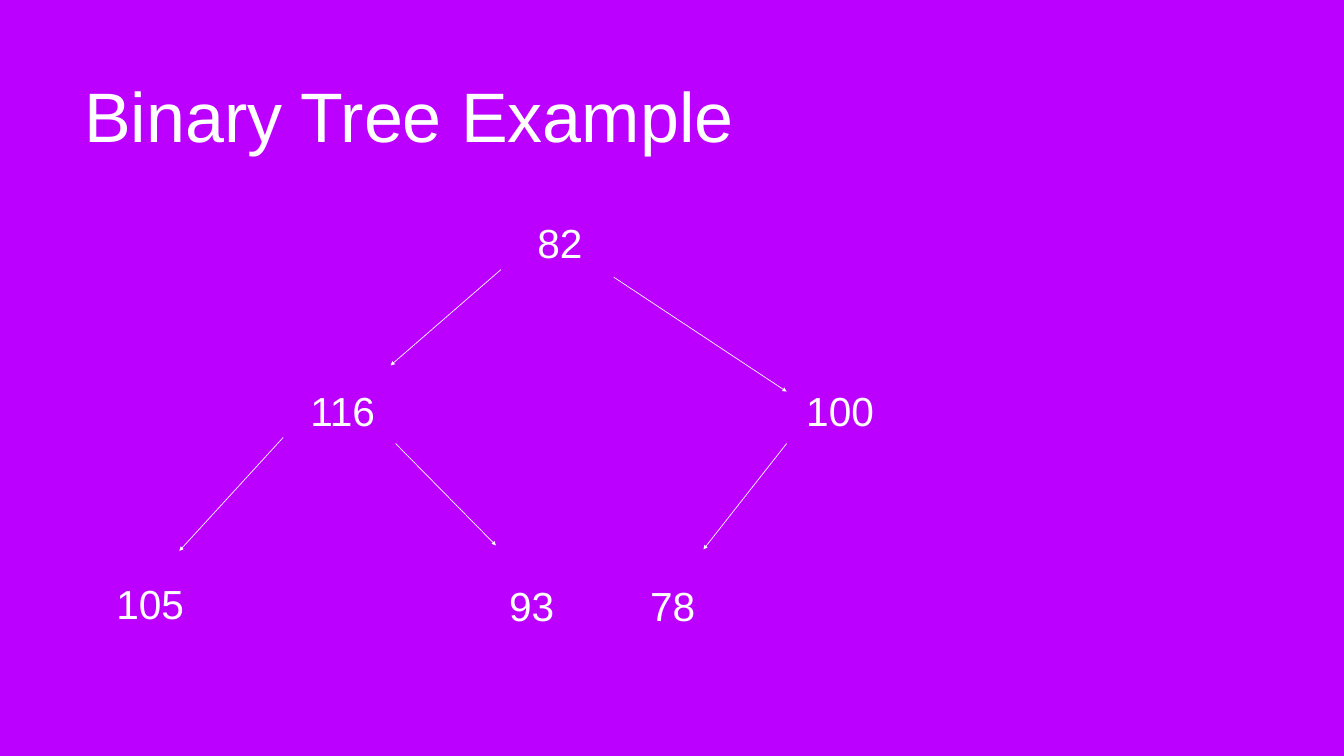
"""Build a slide that shows a binary tree with arrows from parents to children."""

from typing import NamedTuple

from pptx import Presentation
from pptx.dml.color import RGBColor
from pptx.enum.shapes import MSO_CONNECTOR
from pptx.enum.text import MSO_ANCHOR, MSO_AUTO_SIZE, PP_ALIGN
from pptx.oxml.ns import qn
from pptx.slide import Slide
from pptx.text.text import TextFrame
from pptx.util import Emu, Pt

STRAIGHT = MSO_CONNECTOR.STRAIGHT
MIDDLE = MSO_ANCHOR.MIDDLE
NO_FIT, GROW = MSO_AUTO_SIZE.NONE, MSO_AUTO_SIZE.SHAPE_TO_FIT_TEXT
LEFT, CENTER = PP_ALIGN.LEFT, PP_ALIGN.CENTER

EMU_PER_PX = 9144
SLIDE_SIZE = (2667, 1500)
TITLE_BOX = (161, 39, 2344, 375)
NODE_SIZE = (154, 109)
INSET = 6
TITLE_ONLY = 5
PURPLE, WHITE = "BC00FF", "FFFFFF"


class Node(NamedTuple):
    value: str
    left: int
    top: int


class Edge(NamedTuple):
    start: tuple[int, int]
    end: tuple[int, int]


NODES = [
    Node("82", 1034, 426),
    Node("116", 603, 760),
    Node("100", 1590, 759),
    Node("105", 221, 1142),
    Node("93", 978, 1147),
    Node("78", 1258, 1147),
]
EDGES = [
    Edge((994, 535), (775, 725)),
    Edge((1218, 550), (1561, 777)),
    Edge((562, 868), (356, 1093)),
    Edge((785, 880), (984, 1082)),
    Edge((1561, 880), (1396, 1090)),
]


def px(length: int) -> Emu:
    return Emu(length * EMU_PER_PX)


def color(value: str) -> RGBColor:
    return RGBColor.from_string(value)


def write_text(frame: TextFrame, text: str, size: int, alignment: PP_ALIGN, fit: MSO_AUTO_SIZE) -> None:
    frame_format = {"word_wrap": True, "auto_size": fit, "vertical_anchor": MIDDLE}
    frame_format |= {f"margin_{side}": px(INSET) for side in ("left", "top", "right", "bottom")}
    for name, value in frame_format.items():
        setattr(frame, name, value)
    paragraph = frame.paragraphs[0]
    paragraph.alignment = alignment
    run = paragraph.add_run()
    run.text = text
    for name, value in {"name": "Arial", "size": Pt(size)}.items():
        setattr(run.font, name, value)
    run.font.color.rgb = color(WHITE)


def draw_title(slide: Slide, text: str) -> None:
    title = slide.shapes.title
    for name, length in zip(("left", "top", "width", "height"), TITLE_BOX):
        setattr(title, name, px(length))
    write_text(title.text_frame, text, 100, LEFT, NO_FIT)


def draw_node(slide: Slide, node: Node) -> None:
    box = slide.shapes.add_textbox(*map(px, (node.left, node.top, *NODE_SIZE)))
    write_text(box.text_frame, node.value, 58, CENTER, GROW)


def draw_edge(slide: Slide, edge: Edge) -> None:
    connector = slide.shapes.add_connector(STRAIGHT, *map(px, (*edge.start, *edge.end)))
    connector.line.color.rgb = color(WHITE)
    connector.line.width = Pt(1)
    properties = connector.element.spPr
    outline = properties.find(qn("a:ln"))
    arrowhead = outline.makeelement(qn("a:tailEnd"), {"type": "triangle"})
    outline.append(arrowhead)
    properties.append(properties.makeelement(qn("a:effectLst"), {}))


def main() -> None:
    presentation = Presentation()
    presentation.slide_width, presentation.slide_height = map(px, SLIDE_SIZE)
    slide = presentation.slides.add_slide(presentation.slide_layouts[TITLE_ONLY])
    slide.background.fill.solid()
    slide.background.fill.fore_color.rgb = color(PURPLE)
    draw_title(slide, "Binary Tree Example")
    for node in NODES:
        draw_node(slide, node)
    for edge in EDGES:
        draw_edge(slide, edge)
    presentation.save("out.pptx")


if __name__ == "__main__":
    main()
